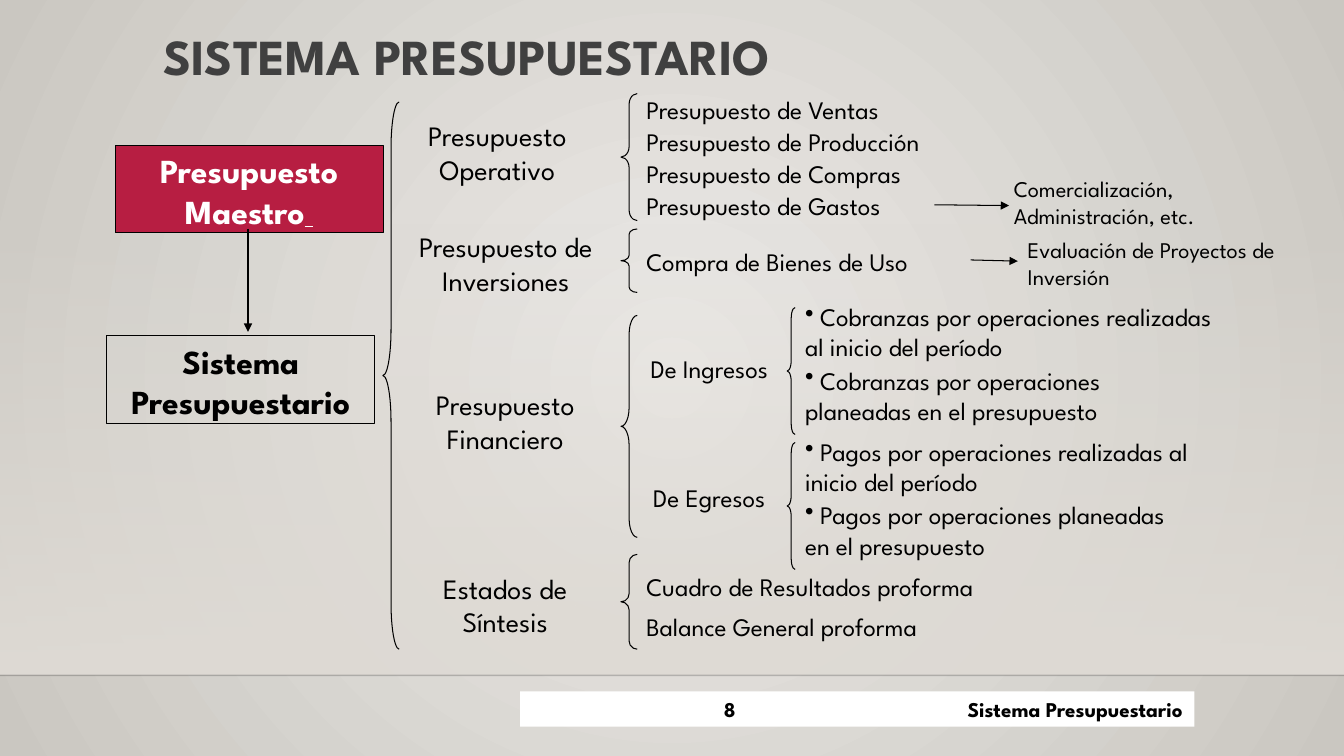
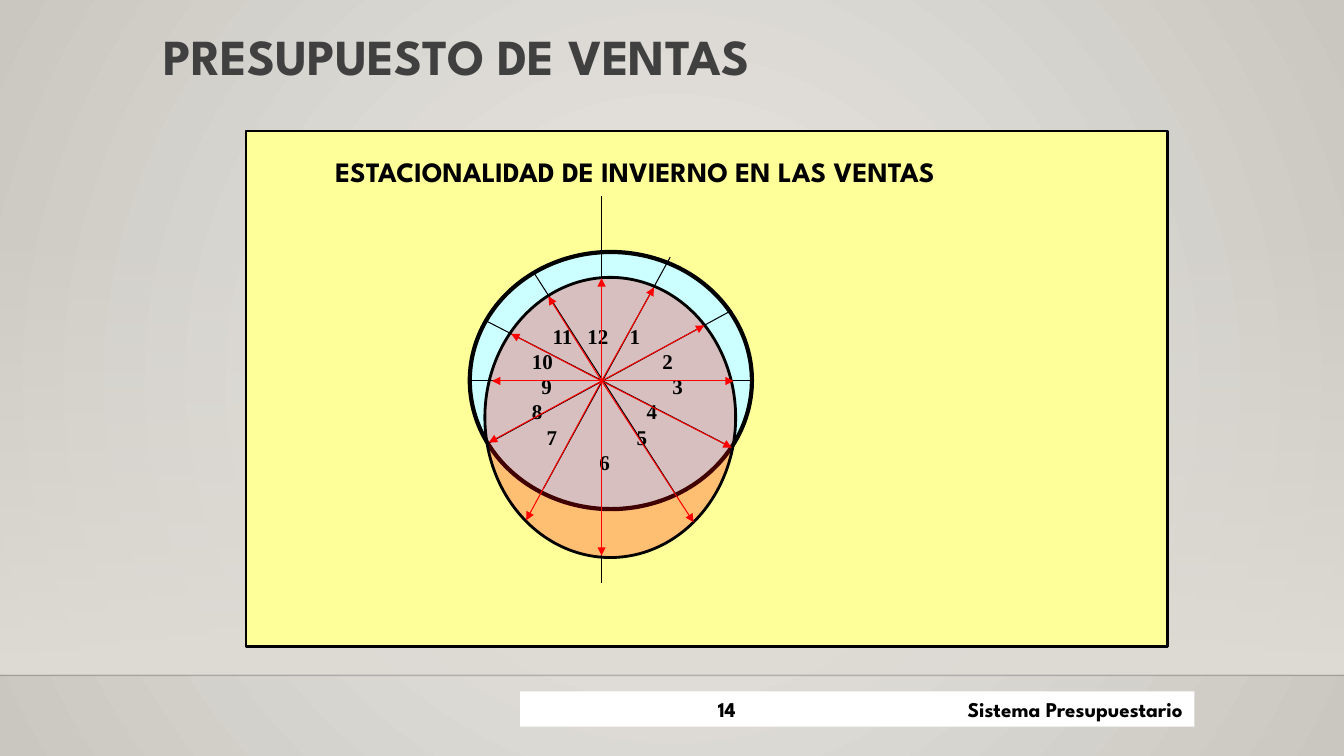
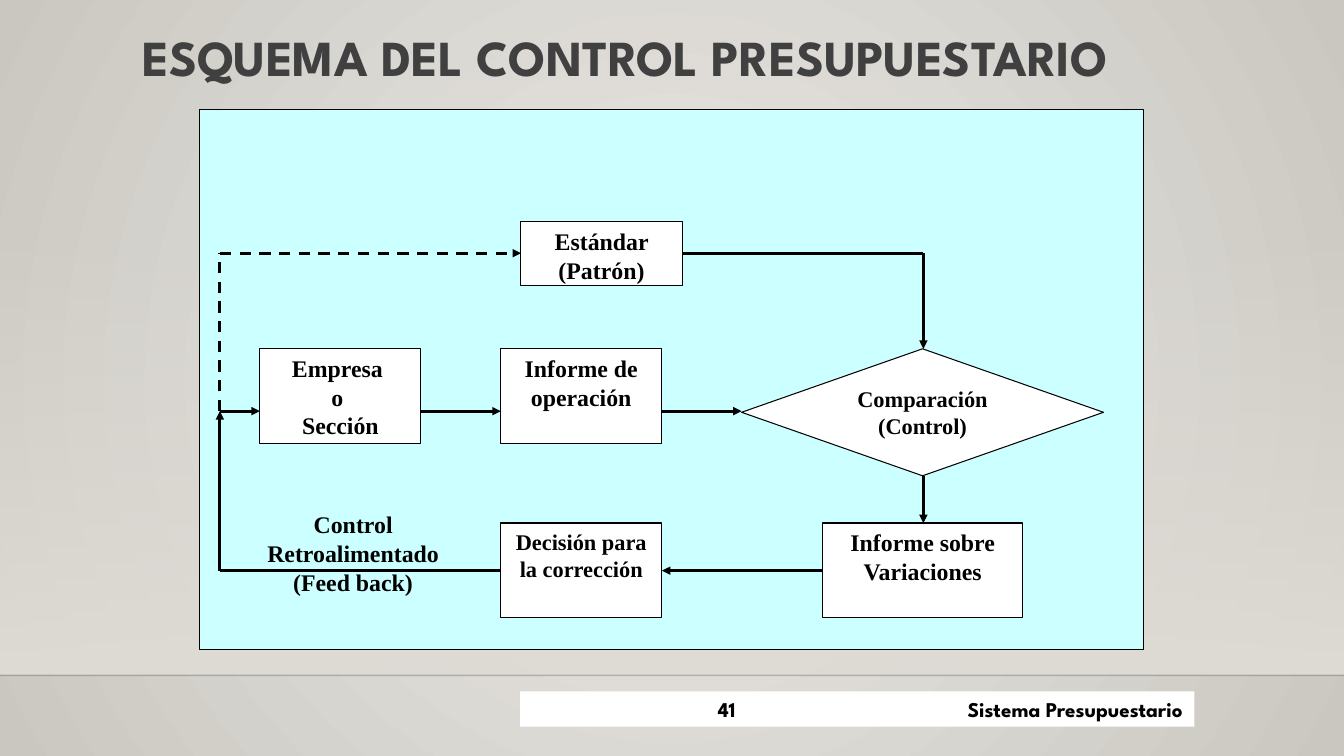
"""Build three slides about the budgeting system."""
import lxml.etree
import pptx
import pptx.dml.color
import pptx.enum.dml
import pptx.enum.shapes
import pptx.enum.text
import pptx.oxml.ns
import pptx.util

Cm, Pt = pptx.util.Cm, pptx.util.Pt
RGB = pptx.dml.color.RGBColor
Form = pptx.enum.shapes.MSO_SHAPE
Align = pptx.enum.text.PP_ALIGN
qn = pptx.oxml.ns.qn

BLACK = RGB(0x00, 0x00, 0x00)
WHITE = RGB(0xFF, 0xFF, 0xFF)
GREY = RGB(0x40, 0x40, 0x40)
LIGHT = RGB(0xEC, 0xEA, 0xE7)
SHADE = RGB(0xCA, 0xC7, 0xC1)
SAND = RGB(0xDF, 0xDB, 0xD5)
INK = RGB(0x00, 0x00, 0x01)
WINE = RGB(0xB7, 0x1E, 0x42)
RED = RGB(0xFF, 0x00, 0x00)
YELLOW = RGB(0xFF, 0xFF, 0x99)
AQUA = RGB(0xCC, 0xFF, 0xFF)

SANS = "League Spartan"
SERIF = "Times New Roman"
WIDTH, HEIGHT = 33.87, 19.05


def add(parent, tag, **attrs):
    return lxml.etree.SubElement(parent, qn(tag), attrs)


def fade(node, share):
    color = next(node.iter(qn("a:srgbClr")))
    add(color, "a:alpha", val=str(share * 1000))


def blend(fill, first, last):
    fill.gradient()
    for stop, color in zip(fill.gradient_stops, (first, last)):
        stop.color.rgb = color


class Deck:
    """Hold the shared style and the current slide."""

    def __init__(self):
        self.prs = pptx.Presentation()
        self.prs.slide_width, self.prs.slide_height = Cm(WIDTH), Cm(HEIGHT)
        self.slide = None

    def start(self, title, number, box=(3.86, 0.51, 22.68, 1.78)):
        first = self.slide is None
        self.slide = self.prs.slides.add_slide(self.prs.slide_layouts[5])
        if first:
            self.master()
        head = self.slide.shapes.title
        head.left, head.top, head.width, head.height = map(Cm, box)
        self.label(head, title, 36, bold=True, color=GREY)
        foot = self.shape((13.11, 17.42, 16.99, 0.89), fill=WHITE, width=0)
        self.label(foot, f"\t{number}\tSistema Presupuestario", 15, bold=True,
                   tabs=[[(5.18, "r"), (16.45, "r")]])

    def master(self):
        master = self.prs.slide_master
        blend(master.background.fill, LIGHT, SHADE)
        lin = next(master.element.iter(qn("a:lin")))
        ring = add(lin.getparent(), "a:path", path="circle")
        add(ring, "a:fillToRect", l="50000", t="50000", r="50000", b="50000")
        lin.getparent().remove(lin)
        band = self.shape((0, 5.61, WIDTH, 11.4), width=0)
        blend(band.fill, SAND, SAND)
        band.fill.gradient_angle = 270
        fade(band.element, 0)
        rule = self.line((0, 17.02), (WIDTH, 17.02), INK, 1, arrow=False)
        fade(rule.element, 20)
        for place, mark in enumerate((band, rule)):
            name = next(mark.element.iter(qn("p:cNvPr")))
            name.set("id", str(20 + place))
            master.shapes.element.insert(2 + place, mark.element)

    def label(self, shape, text, size, bold=False, color=BLACK, font=SANS,
              align=Align.LEFT, tabs=(), bullet=False):
        frame = shape.text_frame
        frame.word_wrap = True
        frame.auto_size = pptx.enum.text.MSO_AUTO_SIZE.NONE
        frame.vertical_anchor = pptx.enum.text.MSO_ANCHOR.TOP
        frame.text = text
        for para in frame.paragraphs:
            para.alignment = align
            if bullet:
                add(para._p.get_or_add_pPr(), "a:buChar", char="•")
        for para, stops in zip(frame.paragraphs, tabs):
            group = add(para._p.get_or_add_pPr(), "a:tabLst")
            for pos, side in stops:
                add(group, "a:tab", pos=str(int(Cm(pos))), algn=side)
        for para in frame.paragraphs:
            for run in para.runs:
                run.font.name, run.font.size = font, Pt(size)
                run.font.bold, run.font.color.rgb = bold, color
        return shape

    def text(self, box, text, size, **style):
        area = self.slide.shapes.add_textbox(*map(Cm, box))
        return self.label(area, text, size, **style)

    def shape(self, box, form=Form.RECTANGLE, fill=None, width=0.75):
        shape = self.slide.shapes.add_shape(form, *map(Cm, box))
        shape.shadow.inherit = False
        if fill is None:
            shape.fill.background()
        else:
            shape.fill.solid()
            shape.fill.fore_color.rgb = fill
        if width:
            shape.line.width = Pt(width)
            shape.line.color.rgb = BLACK
        else:
            shape.line.fill.background()
        return shape

    def brace(self, box):
        curve = self.shape(box, Form.LEFT_BRACE)
        curve.adjustments[0] = round(0.085 * box[3] / box[2], 2)

    def line(self, start, end, color=BLACK, width=0.75, arrow=True, dash=False):
        kind = pptx.enum.shapes.MSO_CONNECTOR.STRAIGHT
        line = self.slide.shapes.add_connector(kind, *map(Cm, start + end))
        line.line.width = Pt(width)
        line.line.color.rgb = color
        if dash:
            line.line.dash_style = pptx.enum.dml.MSO_LINE.DASH
        props = line.element.spPr
        if arrow:
            add(props.find(qn("a:ln")), "a:tailEnd", type="triangle")
        add(props, "a:effectLst")
        return line


def system(deck):
    deck.start("SISTEMA PRESUPUESTARIO", 8)
    plan = deck.shape((2.9, 3.66, 6.76, 2.21), fill=WINE)
    deck.label(plan, "Presupuesto Maestro", 24, bold=True, color=WHITE,
               align=Align.CENTER)
    tail = plan.text_frame.paragraphs[0].add_run()
    tail.text = " "
    tail.font.name, tail.font.size = SANS, Pt(24)
    tail.font.bold = tail.font.underline = True
    tail.font.color.rgb = WHITE
    whole = deck.shape((2.69, 8.46, 6.76, 2.21))
    deck.label(whole, "Sistema Presupuestario", 24, bold=True,
               align=Align.CENTER)
    deck.line((6.25, 5.77), (6.25, 8.36))

    deck.brace((9.65, 2.57, 0.41, 13.79))
    for top, high in ((2.36, 3.2), (5.77, 1.6), (7.95, 5.59), (13.97, 2.39)):
        deck.brace((15.65, top, 0.41, high))
    for top in (7.75, 11.15):
        deck.brace((19.84, top, 0.2, 3.2))

    for left, top, wide, name in (
        (9.83, 2.87, 5.41, "Presupuesto Operativo"),
        (9.45, 5.66, 6.6, "Presupuesto de Inversiones"),
        (10.03, 9.65, 5.41, "Presupuesto Financiero"),
        (10.03, 14.27, 5.41, "Estados de Síntesis"),
    ):
        deck.text((left, top, wide, 2.39), name, 20, align=Align.CENTER)
    for top, name in (
        (2.26, "Presupuesto de Ventas"),
        (3.06, "Presupuesto de Producción"),
        (3.86, "Presupuesto de Compras"),
        (4.66, "Presupuesto de Gastos"),
        (6.07, "Compra de Bienes de Uso"),
        (14.27, "Cuadro de Resultados proforma"),
        (15.27, "Balance General proforma"),
    ):
        deck.text((16.04, top, 11.8, 1), name, 18)
    for top, name in ((8.79, "De Ingresos"), (12.04, "De Egresos")):
        deck.text((15.9, top, 3.95, 1.19), name, 18, align=Align.CENTER)
    for top, wide, name in (
        (7.47, 11.25, "Cobranzas por operaciones realizadas al inicio del período"),
        (9.07, 9.75, "Cobranzas por operaciones planeadas en el presupuesto"),
        (10.87, 11, "Pagos por operaciones realizadas al inicio del período"),
        (12.47, 9.75, "Pagos por operaciones planeadas en el presupuesto"),
    ):
        deck.text((20.04, top, wide, 1.6), " " + name, 18, bullet=True)

    deck.line((23.55, 5.16), (25.43, 5.18))
    deck.line((24.46, 6.55), (25.65, 6.58))
    deck.text((25.3, 4.29, 6.78, 1.6), "Comercialización, Administración, etc.", 16)
    deck.text((25.65, 5.82, 7.04, 1.8), "Evaluación de Proyectos de Inversión", 16)


def sales(deck):
    deck.start("PRESUPUESTO DE VENTAS", 14)
    deck.shape((6.2, 3.3, 23.22, 13), fill=YELLOW, width=2)
    deck.text((8.2, 3.78, 19.46, 1.12),
              "ESTACIONALIDAD DE INVIERNO EN LAS VENTAS", 20, bold=True)
    deck.shape((11.84, 6.35, 7.11, 6.48), Form.OVAL, AQUA, 3)
    year = deck.shape((12.22, 6.99, 6.32, 7.06), Form.OVAL, RED, 2)
    fade(year.element, 25)
    rows = (
        ((0.53, 11), (1.41, 12), (2.47, 1)),
        ((0.01, 10), (3.3, 2)),
        ((0.25, 9), (3.55, 3)),
        ((0.01, 8), (2.9, 4)),
        ((0.38, 7), (2.65, 5)),
        ((1.71, 6),),
    )
    months = "\n".join("".join(f"\t{month}" for _, month in row) for row in rows)
    deck.label(year, months, 15, bold=True, font=SERIF,
               tabs=[[(pos, "l") for pos, _ in row] for row in rows])

    for start, end in (
        ((11.84, 9.6), (18.97, 9.6)),
        ((15.16, 4.95), (15.16, 14.68)),
        ((12.24, 8.08), (18.39, 11.25)),
        ((12.29, 11.18), (18.44, 7.82)),
        ((13.46, 6.88), (17.07, 12.52)),
        ((16.89, 6.48), (13.69, 12.32)),
    ):
        deck.line(start, end, arrow=False)
    for tip in (
        (15.16, 7.01), (16.48, 7.24), (17.75, 8.2), (18.49, 9.6),
        (18.44, 11.28), (17.48, 13.16), (15.16, 14), (13.26, 13.11),
        (12.32, 11.15), (12.4, 9.6), (12.88, 8.41), (13.82, 7.47),
    ):
        deck.line((15.16, 9.6), tip, RED)


def control(deck):
    deck.start("ESQUEMA DEL CONTROL PRESUPUESTARIO", 41, (3.33, 0.53, 26.16, 1.8))
    deck.shape((5.03, 2.77, 23.8, 13.59), fill=AQUA)
    step, test = Form.FLOWCHART_PROCESS, Form.FLOWCHART_DECISION
    for box, form, size, name in (
        ((13.13, 5.59, 4.06, 1.6), step, 17, "Estándar (Patrón)"),
        ((6.55, 8.79, 4.06, 2.39), step, 17, "Empresa \no \nSección"),
        ((12.62, 8.79, 4.06, 2.39), step, 17, "Informe de operación"),
        ((18.69, 8.79, 9.12, 3.2), test, 16, "Comparación (Control)"),
        ((20.73, 13.18, 5.05, 2.39), step, 17, "Informe sobre Variaciones"),
        ((12.62, 13.18, 4.06, 2.39), step, 16, "Decisión para la corrección"),
    ):
        deck.label(deck.shape(box, form, WHITE), name, size, bold=True,
                   font=SERIF, align=Align.CENTER)

    left, right = 5.54, 23.27
    top, mid, base = 6.38, 10.36, 14.38
    for start, end, arrow, dash in (
        ((10.61, mid), (12.62, mid), True, False),
        ((16.68, mid), (18.69, mid), True, False),
        ((right, 11.99), (right, 13.18), True, False),
        ((20.73, base), (16.68, base), True, False),
        ((12.62, base), (left, base), False, False),
        ((left, base), (left, mid), True, False),
        ((left, mid), (6.55, mid), True, False),
        ((left, mid), (left, top), False, True),
        ((left, top), (13.13, top), True, True),
        ((17.19, top), (right, top), False, False),
        ((right, top), (right, 8.79), True, False),
    ):
        deck.line(start, end, width=2, arrow=arrow, dash=dash)
    deck.text((6.4, 12.73, 5, 2.44), "Control Retroalimentado (Feed back)", 17,
              bold=True, font=SERIF, align=Align.CENTER)


def main():
    deck = Deck()
    for build in (system, sales, control):
        build(deck)
    deck.prs.save("out.pptx")


if __name__ == "__main__":
    main()
